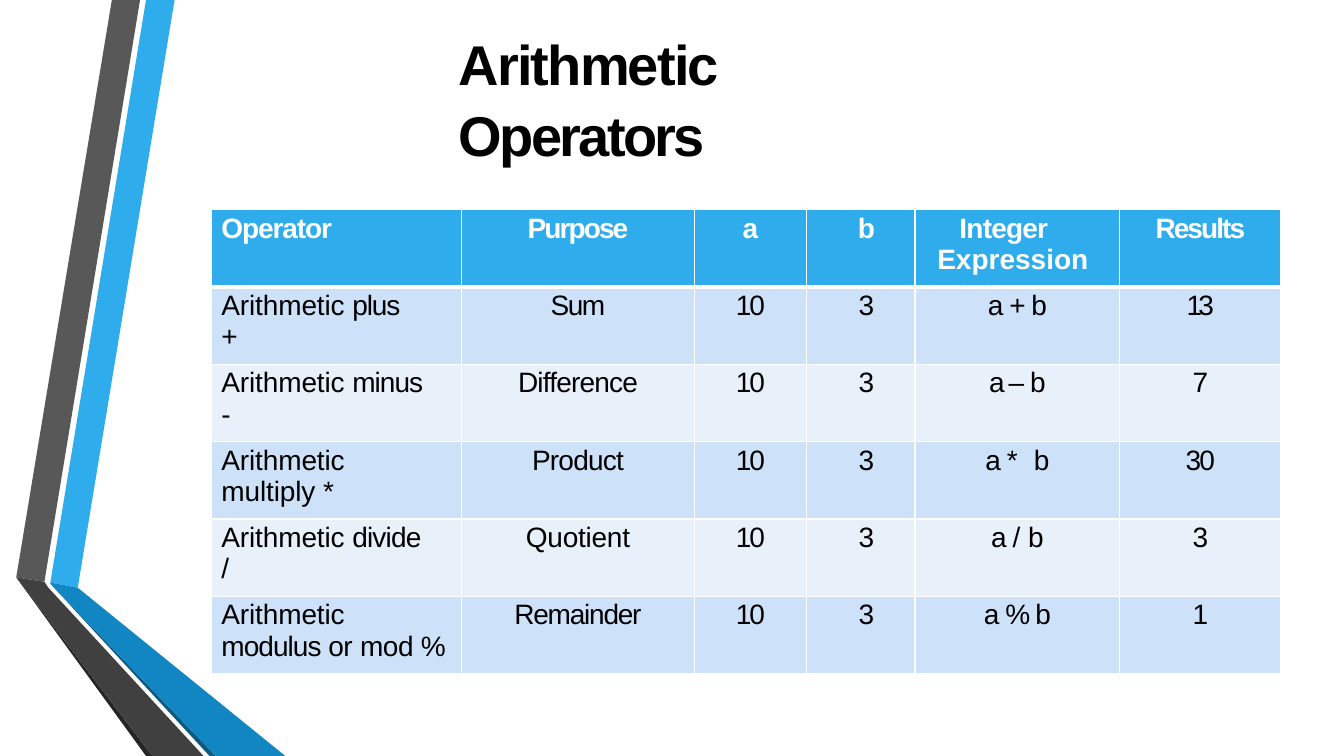
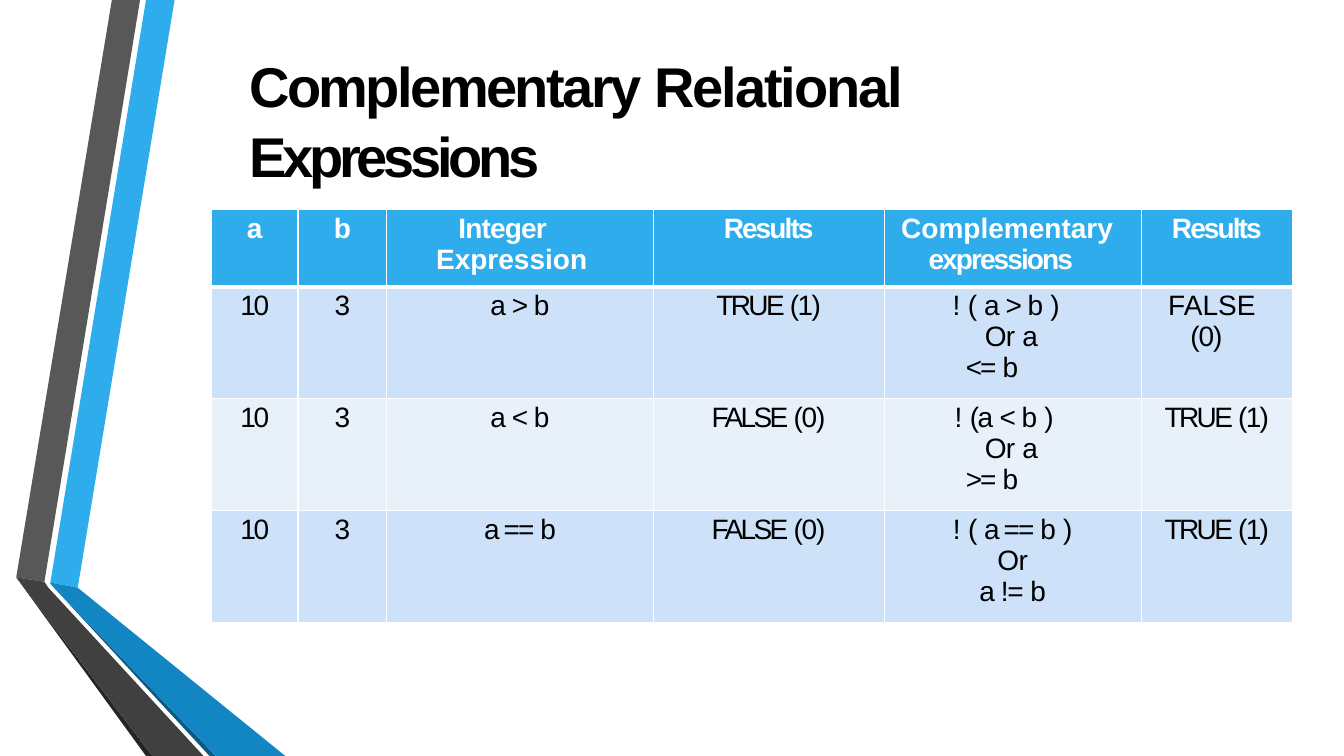
import pptx
import pptx.util
import pptx.dml.color
import pptx.enum.text
import pptx.oxml
import pptx.oxml.ns

Cm = pptx.util.Cm
Pt = pptx.util.Pt
ALIGN = pptx.enum.text.PP_ALIGN

THEME = {
    "sky": "2FACEB", "grey": "585858", "coal": "252525", "navy": "0C5A82",
    "deep": "1286C3", "char": "404040", "pale": "CDE2F8", "mist": "E8F0FA",
    "white": "FFFFFF", "black": "000000",
}
FONTS = {
    "title": ({"name": "Arial", "size": Pt(40), "bold": True}, "black"),
    "head": ({"name": "Arial", "size": Pt(20), "bold": True}, "white"),
    "body": ({"name": "Arial", "size": Pt(20), "bold": False}, "black"),
}
TRACK = {
    "title": {"Arithmetic": -1.3, "Operators": -1.9, "Complementary": -1.8,
              "Relational": -1.5, "Expressions": -3},
    "head": {"Operator": -0.8, "Purpose": -1.4, "Integer": -0.6,
             "Results": -1.4, "expressions": -1.4},
    "body": {"Arithmetic": -0.1, "plus": -0.8, "minus": -0.7, "multiply": -0.1,
             "divide": -0.6, "modulus": -0.7, "or": -0.3, "mod": -0.4,
             "Sum": -1.1, "Difference": -0.6, "Product": -0.6, "Quotient": -0.2,
             "Remainder": -0.9, "10": -1.6, "13": -2.7, "30": -1.4,
             "a": -1.4, "b": -0.5, "+": -1.5, "–": -1.4, "*": 2.9, "/": -0.1,
             "%": -1.8, ">": -1.5, "<": -1.5, "==": -1.4, "<=": -1.4,
             ">=": -1.4, "!=": -0.9, "!": -0.3, "(": -0.7, "(a": -1.1,
             ")": -0.7, "Or": -0.5, "TRUE": -1.9, "FALSE ": -1.9,
             "(1)": -1.2, "(0)": -0.8},
}

RIBBONS = [
    ("sky", [(4.4, 0), (3.68, 0), (1.27, 14.68), (1.96, 14.81)]),
    ("grey", [(3.53, 0), (2.82, 0), (0.41, 14.55), (1.12, 14.66)]),
    ("coal", [(0.41, 14.55), (3.68, 19.05), (3.84, 19.05)]),
    ("navy", [(1.27, 14.71), (5.28, 19.05), (5.44, 19.05)]),
    ("deep", [(1.27, 14.68), (1.27, 14.71), (5.44, 19.05), (7.19, 19.05),
              (1.96, 14.81)]),
    ("char", [(0.41, 14.55), (3.84, 19.05), (5.13, 19.05), (1.22, 14.81),
              (1.12, 14.66)]),
]

MATHS = [
    ("Arithmetic plus\n+", "Sum", "a + b", "13"),
    ("Arithmetic minus\n-", "Difference", "a – b", "7"),
    ("Arithmetic\nmultiply *", "Product", "a * b", "30"),
    ("Arithmetic divide\n/", "Quotient", "a / b", "3"),
    ("Arithmetic\nmodulus or mod %", "Remainder", "a % b", "1"),
]

# Each cell is centred text, (margin, indent, text), or a list of these.
SLIDES = [
    {
        "title": "Arithmetic\nOperators",
        "place": (11.56, 0.63, 13, 1.78),
        "cols": [6.3, 5.87, 2.82, 2.74, 5.16, 4.06],
        "rows": [1.95] * 6,
        "cells": [
            [(0.25, 0, "Operator"), "Purpose", "a", (1.3, 0, "b"),
             (0.56, 0.56, "Integer\nExpression"), "Results"],
        ] + [
            [(0.25, 0, name), goal, "10", (1.32, 0, "3"), term, result]
            for name, goal, term, result in MATHS
        ],
    },
    {
        "title": "Complementary Relational\nExpressions",
        "place": (6.28, 1.17, 23.98, 1.78),
        "cols": [2.18, 2.24, 6.71, 5.82, 6.48, 3.81],
        "rows": [1.95] + [2.82] * 3,
        "cells": [
            ["a", "b", (1.24, 0.56, "Integer\nExpression"), "Results",
             (1.12, -0.69, "Complementary\nexpressions"), "Results"],
            ["10", "3", "a > b", "TRUE (1)",
             [(2.54, -0.81, "! ( a > b )"), (2.06, 0.48, "Or a\n<= b")],
             (1.24, -0.56, "FALSE\n(0)")],
            ["10", "3", "a < b", "FALSE (0)",
             [(2.54, -0.76, "! (a < b )"), (2.06, 0.48, "Or a\n>= b")],
             "TRUE (1)"],
            ["10", "3", "a == b", "FALSE (0)",
             ["! ( a == b )", "Or", "a != b"], "TRUE (1)"],
        ],
    },
]


def tint(name):
    return pptx.dml.color.RGBColor.from_string(THEME[name])


def paint(part, name):
    part.fill.solid()
    part.fill.fore_color.rgb = tint(name)


def write(para, text, style):
    form, shade = FONTS[style]
    track = TRACK[style]
    for num, line in enumerate(text.split("\n")):
        if num:
            para.add_line_break()
        words = line.split(" ")
        for word in [w + " " for w in words[:-1]] + words[-1:]:
            run = para.add_run()
            run.text = word
            for key, value in form.items():
                setattr(run.font, key, value)
            run.font.color.rgb = tint(shade)
            space = track.get(word, track.get(word.strip(), 0))
            run._r.get_or_add_rPr().set("spc", str(round(space * 100)))


def edge(cell, side, width):
    line = pptx.oxml.parse_xml(
        f'<a:{side} {pptx.oxml.ns.nsdecls("a")} w="{Pt(width)}"><a:solidFill>'
        f'<a:srgbClr val="{THEME["white"]}"/></a:solidFill></a:{side}>')
    cell._tc.get_or_add_tcPr().append(line)


def fill_cell(cell, item, row):
    for side in ("lnL", "lnR", "lnT", "lnB"):
        thick = (row, side) in ((0, "lnB"), (1, "lnT"))
        edge(cell, side, 3 if thick else 1)
    paint(cell, "sky" if row == 0 else "pale" if row % 2 else "mist")
    for key, value in {"margin_left": 0, "margin_right": 0,
                       "margin_top": Cm(0.08), "margin_bottom": 0}.items():
        setattr(cell, key, value)
    frame = cell.text_frame
    for num, part in enumerate(item if isinstance(item, list) else [item]):
        para = frame.add_paragraph() if num else frame.paragraphs[0]
        para.space_before = Pt(0 if num else 2.4)
        if isinstance(part, tuple):
            left, dent, text = part
            para.alignment = ALIGN.LEFT
            props = para._p.get_or_add_pPr()
            props.set("marL", str(Cm(left)))
            props.set("indent", str(Cm(dent)))
        else:
            text = part
            para.alignment = ALIGN.CENTER
        write(para, text, "body" if row else "head")


def add_ribbons(slide):
    for shade, spots in RIBBONS:
        points = [(Cm(x), Cm(y)) for x, y in spots]
        maker = slide.shapes.build_freeform(*points[0])
        maker.add_line_segments(points[1:], close=True)
        shape = maker.convert_to_shape()
        shape.shadow.inherit = False
        paint(shape, shade)
        shape.line.fill.background()


def add_title(slide, text, place):
    frame = slide.shapes.add_textbox(*map(Cm, place)).text_frame
    for key, value in {"word_wrap": True, "margin_left": 0, "margin_right": 0,
                       "margin_top": Cm(0.04), "margin_bottom": 0}.items():
        setattr(frame, key, value)
    para = frame.paragraphs[0]
    para.space_before = Pt(1.1)
    para.line_spacing = 1.05
    write(para, text, "title")


def add_grid(slide, cols, rows, cells):
    table = slide.shapes.add_table(
        len(rows), len(cols), Cm(5.33), Cm(5.28),
        Cm(sum(cols)), Cm(sum(rows))).table
    for col, width in zip(table.columns, cols):
        col.width = Cm(width)
    for row, height in zip(table.rows, rows):
        row.height = Cm(height)
    for y, line in enumerate(cells):
        for x, item in enumerate(line):
            fill_cell(table.cell(y, x), item, y)


def main():
    deck = pptx.Presentation()
    deck.slide_width, deck.slide_height = Cm(33.87), Cm(19.05)
    for data in SLIDES:
        slide = deck.slides.add_slide(deck.slide_layouts[6])
        add_ribbons(slide)
        add_title(slide, data["title"], data["place"])
        add_grid(slide, data["cols"], data["rows"], data["cells"])
    deck.save("out.pptx")


if __name__ == "__main__":
    main()
